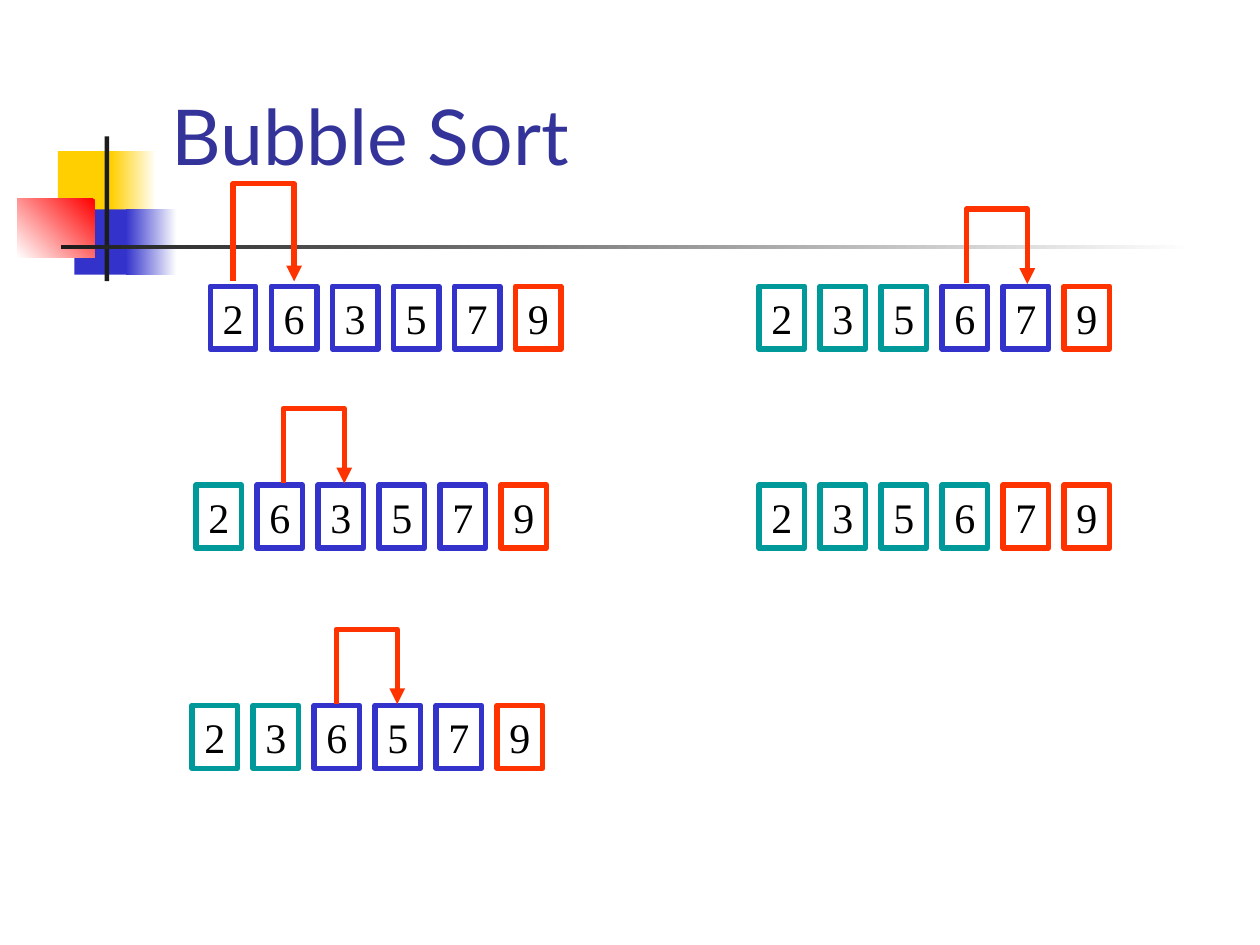
from lxml import etree
from pptx import Presentation
from pptx import util as u
from pptx.dml.color import RGBColor
from pptx.enum import shapes, text
from pptx.oxml.ns import qn

WHITE = RGBColor(0xFF, 0xFF, 0xFF)
BLACK = RGBColor(0x00, 0x00, 0x00)
CHARCOAL = RGBColor(0x1C, 0x1C, 0x1C)
YELLOW = RGBColor(0xFF, 0xCF, 0x01)
RED = RGBColor(0xFF, 0x00, 0x00)
NAVY = RGBColor(0x33, 0x33, 0x99)
BLUE = RGBColor(0x33, 0x33, 0xCC)
TEAL = RGBColor(0x00, 0x99, 0x99)
ORANGE = RGBColor(0xFF, 0x33, 0x00)

BOX_WIDTH, BOX_HEIGHT, BOX_STEP = 0.92, 1.27, 1.23


def write(frame, content, frame_format, font_format, color):
    for name, value in frame_format.items():
        setattr(frame, name, value)
    paragraph = frame.paragraphs[0]
    paragraph.text = content
    for name, value in font_format.items():
        setattr(paragraph.font, name, value)
    paragraph.font.color.rgb = color
    return paragraph


def add_swap_arrow(slide, left, base, rise):
    """Draw an elbow arrow that rises from base, crosses one box and drops back."""
    # A quarter turn makes the connector's thin width run upwards.
    thin = 0.01
    x = left + (BOX_STEP - thin) / 2
    y = base - BOX_STEP / 2
    arrow = slide.shapes.add_connector(
        shapes.MSO_CONNECTOR.ELBOW,
        u.Cm(x), u.Cm(y), u.Cm(x + thin), u.Cm(y + BOX_STEP))
    arrow.line.color.rgb = ORANGE
    arrow.line.width = u.Pt(3)
    properties = arrow._element.spPr
    transform = properties.find(qn("a:xfrm"))
    transform.set("rot", "16200000")
    transform.set("flipH", "1")
    adjustments = properties.find(qn("a:prstGeom")).get_or_add_avLst()
    etree.SubElement(adjustments, qn("a:gd"), name="adj1",
                     fmla=f"val {round(-rise / thin * 100000)}")
    etree.SubElement(arrow.line._get_or_add_ln(), qn("a:tailEnd"), type="triangle")
    etree.SubElement(properties, qn("a:effectLst"))


presentation = Presentation()
presentation.slide_width = u.Cm(25.4)
presentation.slide_height = u.Cm(19.05)
slide = presentation.slides.add_slide(presentation.slide_layouts[6])

# Corner ornament: left, top, width, height, colour, angle of the fade to white
ornament = [
    (1.17, 3.05, 1.22, 1.32, YELLOW, None),
    (2.24, 3.05, 0.91, 1.32, YELLOW, 0),
    (1.5, 4.22, 1.17, 1.32, BLUE, None),
    (2.54, 4.22, 1.02, 1.32, BLUE, 0),
    (0.35, 4.01, 1.56, 1.18, RED, 225),
    (2.11, 2.75, 0.09, 2.92, CHARCOAL, None),
    (1.23, 4.94, 22.86, 0.09, CHARCOAL, 0),
]
for *bounds, color, angle in ornament:
    block = slide.shapes.add_shape(
        shapes.MSO_SHAPE.RECTANGLE, *[u.Cm(value) for value in bounds])
    block.shadow.inherit = False
    block.line.fill.background()
    if angle is None:
        block.fill.solid()
        block.fill.fore_color.rgb = color
    else:
        block.fill.gradient()
        block.fill.gradient_angle = angle
        for stop, stop_color in zip(block.fill.gradient_stops, (color, WHITE)):
            stop.color.rgb = stop_color

title = slide.shapes.add_textbox(u.Cm(3.2), u.Cm(1.7), u.Cm(21.64), u.Cm(2.08))
write(title.text_frame, "Bubble Sort",
      {"word_wrap": True, "vertical_anchor": text.MSO_ANCHOR.BOTTOM},
      {"name": "Lato", "size": u.Pt(44)}, NAVY)

# Sorting steps: left, top, numbers, count of teal and of blue boxes,
# then the swap arrow's left, base and rise
steps = [
    (4.24, 5.77, "263579", 0, 5, (4.7, 5.67, 1.96)),
    (15.3, 5.77, "235679", 3, 2, (19.48, 5.72, 1.5)),
    (15.3, 9.78, "235679", 4, 0, None),
    (3.95, 9.78, "263579", 1, 4, (5.71, 9.74, 1.5)),
    (3.87, 14.22, "236579", 2, 3, (6.78, 14.19, 1.5)),
]
box_format = {
    "word_wrap": False,
    "auto_size": text.MSO_AUTO_SIZE.SHAPE_TO_FIT_TEXT,
    "vertical_anchor": text.MSO_ANCHOR.MIDDLE,
}
number_format = {"name": "Times New Roman", "size": u.Pt(24)}
for left, top, numbers, teal_count, blue_count, arrow in steps:
    orange_count = len(numbers) - teal_count - blue_count
    colors = [TEAL] * teal_count + [BLUE] * blue_count + [ORANGE] * orange_count
    row = slide.shapes.add_group_shape()
    for index, (number, color) in enumerate(zip(numbers, colors)):
        box = row.shapes.add_shape(
            shapes.MSO_SHAPE.RECTANGLE, u.Cm(left + index * BOX_STEP), u.Cm(top),
            u.Cm(BOX_WIDTH), u.Cm(BOX_HEIGHT))
        box.shadow.inherit = False
        box.fill.background()
        box.line.color.rgb = color
        box.line.width = u.Pt(3)
        paragraph = write(box.text_frame, number, box_format, number_format, BLACK)
        paragraph.alignment = text.PP_ALIGN.CENTER
    if arrow:
        add_swap_arrow(slide, *arrow)

presentation.save("out.pptx")
